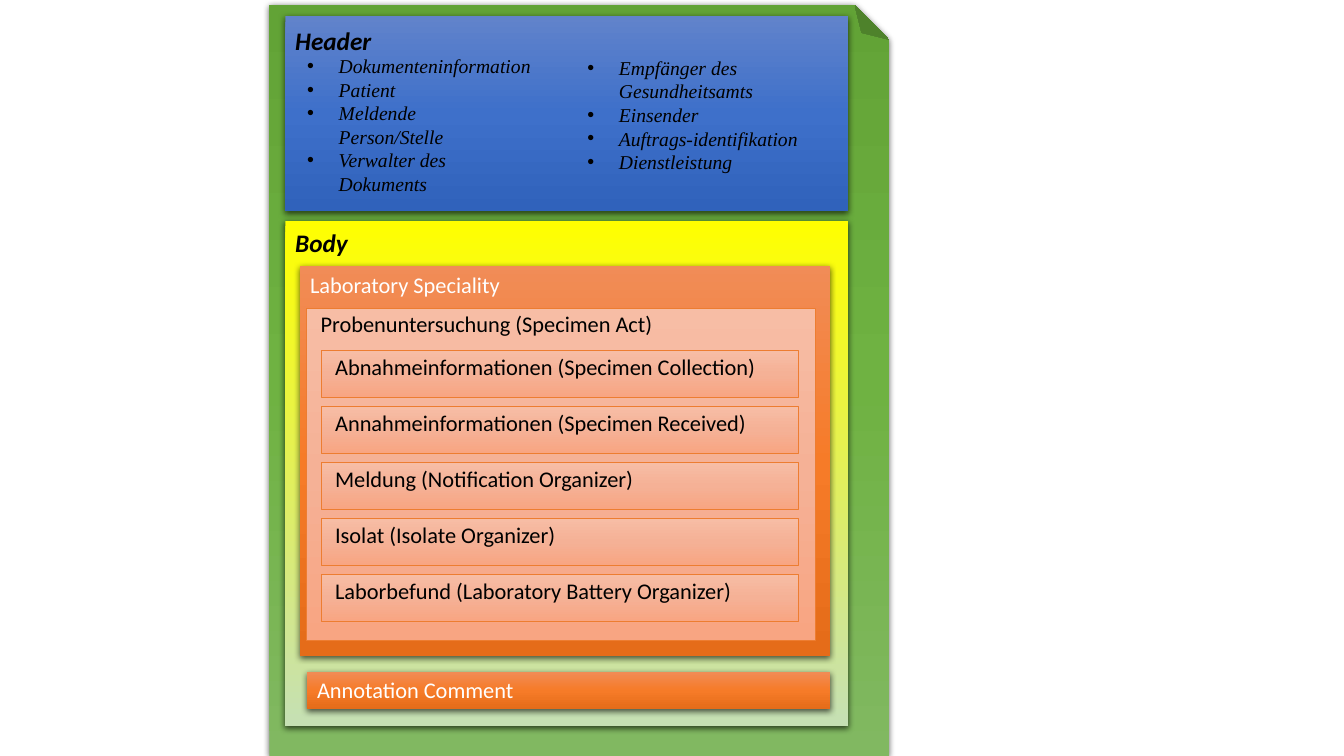
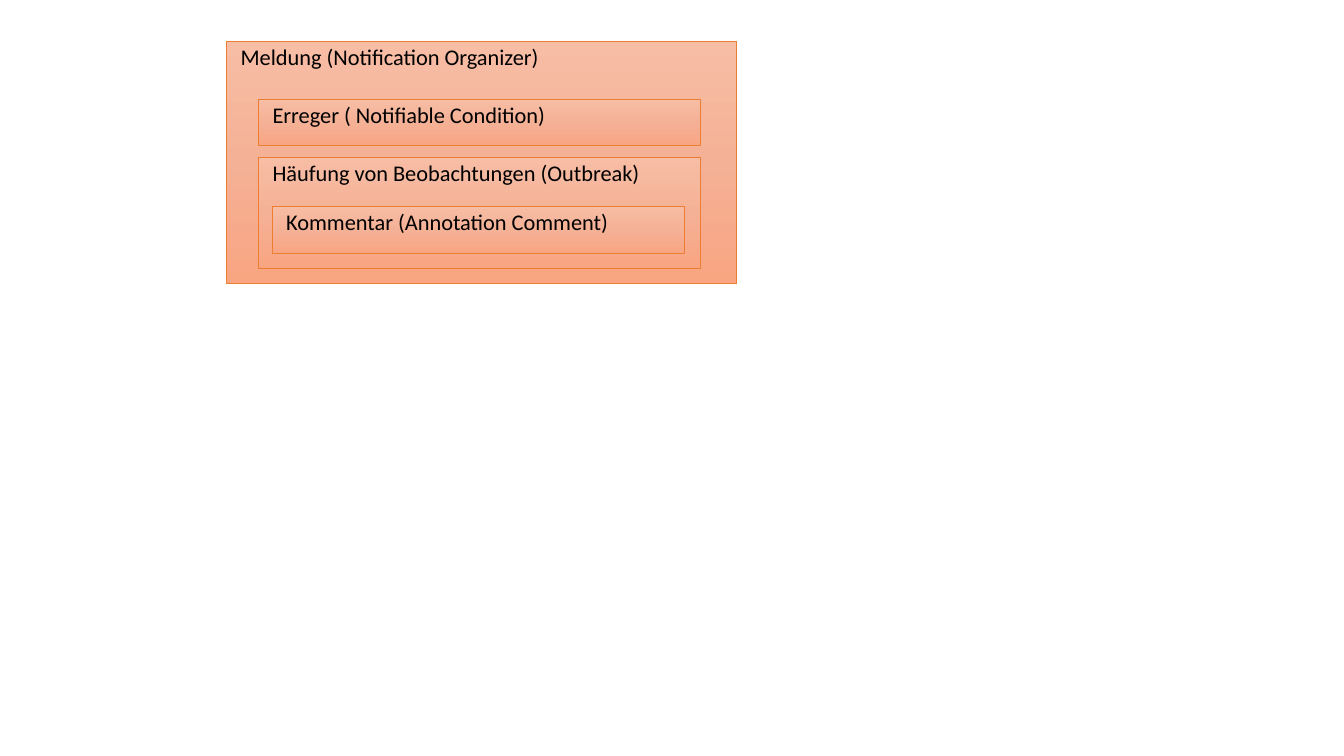
from copy import deepcopy
from lxml import etree
from pptx import Presentation
from pptx.dml.color import RGBColor
from pptx.enum.shapes import MSO_SHAPE as Form
from pptx.enum.text import MSO_ANCHOR as Anchor, MSO_AUTO_SIZE as Fit, PP_ALIGN as Align
from pptx.oxml.ns import qn
from pptx.util import Pt

COLORS = {"black": "000000", "white": "FFFFFF", "edge": "ED7D31"}
GRADIENTS = {
    "green": ("81B861", "6FB242", "62A336"),
    "blue": ("6183CB", "3E70CA", "3062BB"),
    "yellow": ("FFFF00", "C5E0B4"),
    "orange": ("F18C57", "F67B28", "E56C19"),
    "salmon": ("F7BDA5", "F5B196", "F8A582"),
}
SECTIONS = [
    ("Header", "blue", (203.8, 11.3, 402, 139.2), 6.5),
    ("Body", "yellow", (203.8, 157.7, 402, 360.7), 4.7),
]
HEADER_LISTS = [
    ((212.4, 35.2, 175, 108.7), ["Dokumenteninformation", "Patient",
                                 "Meldende \nPerson/Stelle", "Verwalter des Dokuments"]),
    ((412.5, 36.3, 178.6, 92.2), ["Empfänger des Gesundheitsamts", "Einsender",
                                  "Auftrags-identifikation", "Dienstleistung"]),
]
ENTRIES = [
    ("Laboratory Speciality", (214.4, 189.9, 378.7, 278.6)),
    ("Annotation Comment", (219.4, 479.7, 373.7, 26.8)),
]
SPECIMEN_ACT = ("Probenuntersuchung (Specimen Act)", (219, 220.3, 363.6, 236.9))
SPECIMEN_PARTS = [
    "Abnahmeinformationen (Specimen Collection)",
    "Annahmeinformationen (Specimen Received)",
    "Meldung (Notification Organizer)",
    "Isolat (Isolate Organizer)",
    "Laborbefund (Laboratory Battery Organizer)",
]
PART_LEFT, PART_TOP, PART_WIDTH, PART_HEIGHT, PART_STEP = 229.4, 250.6, 340.6, 33.3, 39.95
NOTIFICATION = [
    ("Meldung (Notification Organizer)", (161.9, 29.4, 364.4, 173.2)),
    ("Erreger ( Notifiable Condition)", (184.7, 70.7, 315.4, PART_HEIGHT)),
    ("Häufung von Beobachtungen (Outbreak)", (184.7, 112.2, 315.4, 79.6)),
    ("Kommentar (Annotation Comment)", (194.4, 147.5, 294.5, PART_HEIGHT)),
]


def rgb(name):
    return RGBColor.from_string(COLORS[name])


def fill_gradient(shape, name):
    colors = GRADIENTS[name]
    shape.fill.gradient()
    shape.fill.gradient_angle = 270
    stops = shape._element.spPr.find(qn("a:gradFill")).find(qn("a:gsLst"))
    while len(stops) < len(colors):
        stops.append(deepcopy(stops[0]))
    for index, (stop, color) in enumerate(zip(shape.fill.gradient_stops, colors)):
        stop.position = index / (len(colors) - 1)
        stop.color.rgb = RGBColor.from_string(color)


def cast_shadow(shape):
    effects = shape._element.spPr.find(qn("a:effectLst"))
    outer = etree.SubElement(effects, qn("a:outerShdw"), blurRad=str(Pt(4.5)),
                             dist=str(Pt(1.5)), dir="5400000", algn="ctr", rotWithShape="0")
    color = etree.SubElement(outer, qn("a:srgbClr"), val=COLORS["black"])
    etree.SubElement(color, qn("a:alpha"), val="63000")


def add_panel(page, area, gradient, form=Form.RECTANGLE, outlined=False):
    shape = page.shapes.add_shape(form, *map(Pt, area))
    shape.shadow.inherit = False
    fill_gradient(shape, gradient)
    if outlined:
        shape.line.color.rgb = rgb("edge")
        shape.line.width = Pt(0.5)
    else:
        shape.line.fill.background()
        cast_shadow(shape)
    shape.text_frame.word_wrap = True
    shape.text_frame.vertical_anchor = Anchor.TOP
    return shape


def add_sheet(page, area):
    props = add_panel(page, area, "green", Form.FOLDED_CORNER)._element.spPr
    props.find(qn("a:xfrm")).set("flipV", "1")
    guides = props.find(qn("a:prstGeom")).get_or_add_avLst()
    etree.SubElement(guides, qn("a:gd"), name="adj", fmla="val 5600")


def add_span(para, text, size, color="black", face="Calibri", bold=False, italic=False):
    para.alignment = Align.LEFT
    span = para.add_run()
    span.text = text
    font = span.font
    font.size, font.name, font.bold, font.italic = Pt(size), face, bold, italic
    font.color.rgb = rgb(color)


def add_specimen(page, text, area):
    frame = add_panel(page, area, "salmon", outlined=True).text_frame
    frame.margin_left, frame.margin_right = Pt(10), Pt(1.4)
    frame.margin_top = frame.margin_bottom = Pt(9.4)
    frame.auto_size = Fit.SHAPE_TO_FIT_TEXT
    para = frame.paragraphs[0]
    para.line_spacing = 0.7
    para.space_before = Pt(8)
    add_span(para, text, 16)


def add_bullets(page, area, items):
    frame = page.shapes.add_textbox(*map(Pt, area)).text_frame
    frame.word_wrap = True
    for index, item in enumerate(items):
        para = frame.add_paragraph() if index else frame.paragraphs[0]
        for number, line in enumerate(item.split("\n")):
            if number:
                para.add_line_break()
            add_span(para, line, 14, face="Times New Roman", italic=True)
        props = para._p.get_or_add_pPr()
        props.set("marL", str(Pt(22.5)))
        props.set("indent", str(-Pt(22.5)))
        etree.SubElement(props, qn("a:buFont"), typeface="Arial")
        etree.SubElement(props, qn("a:buChar"), char="•")


deck = Presentation()
deck.slide_width, deck.slide_height = Pt(960), Pt(540)
blank = deck.slide_layouts[6]

page = deck.slides.add_slide(blank)
add_sheet(page, (192.4, 3.6, 442.8, 536.4))
for text, gradient, area, margin in SECTIONS:
    frame = add_panel(page, area, gradient).text_frame
    frame.margin_top = Pt(margin)
    add_span(frame.paragraphs[0], text, 18, bold=True, italic=True)
for area, items in HEADER_LISTS:
    add_bullets(page, area, items)
for text, area in ENTRIES:
    add_span(add_panel(page, area, "orange").text_frame.paragraphs[0], text, 16, "white")
add_specimen(page, *SPECIMEN_ACT)
for row, text in enumerate(SPECIMEN_PARTS):
    add_specimen(page, text, (PART_LEFT, PART_TOP + row * PART_STEP, PART_WIDTH, PART_HEIGHT))

page = deck.slides.add_slide(blank)
for text, area in NOTIFICATION:
    add_specimen(page, text, area)

deck.save("out.pptx")
